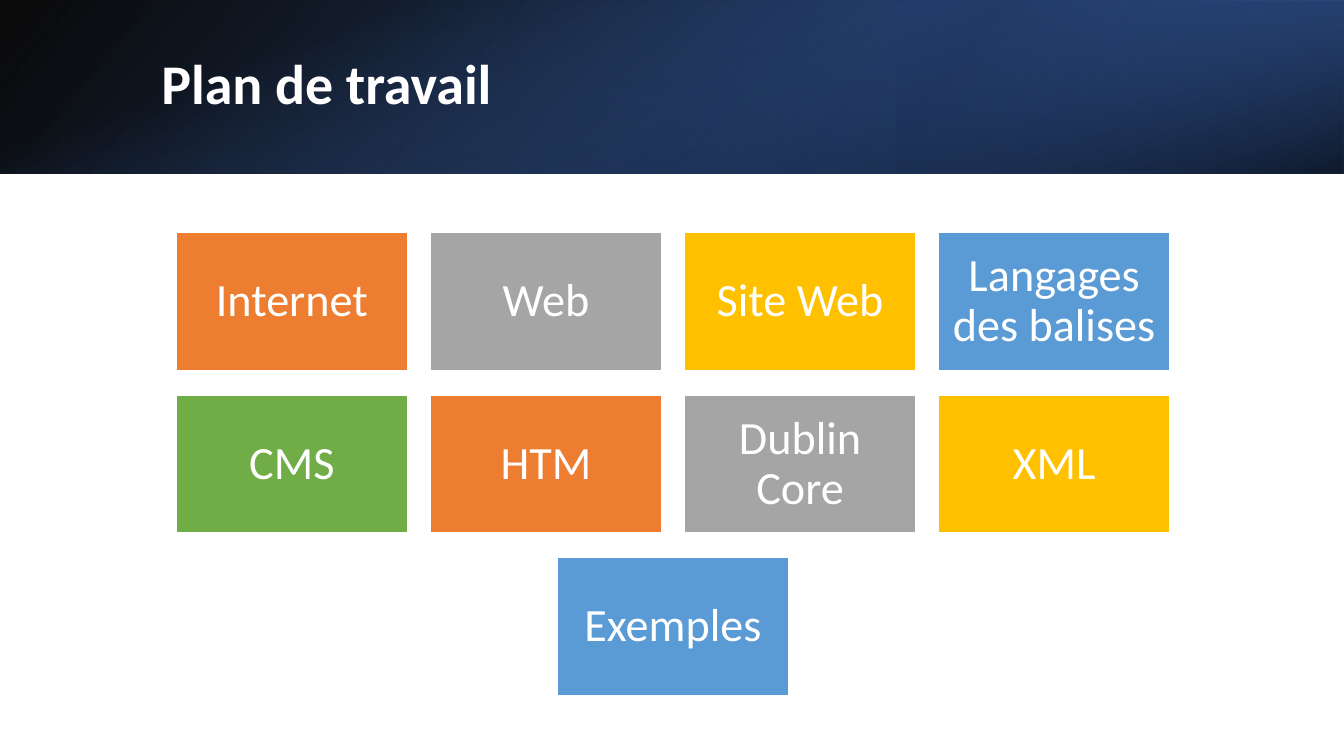
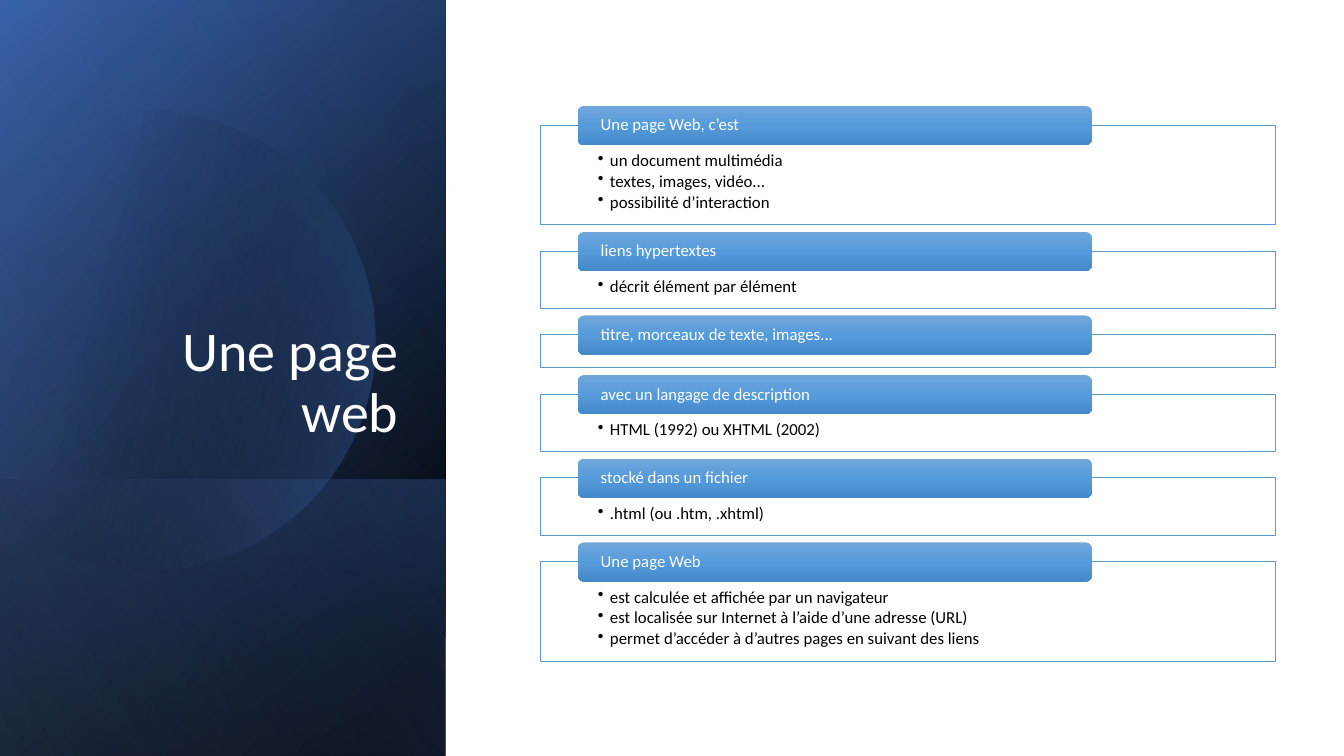
from math import acos, cos, sin

from lxml.etree import SubElement
from pptx import Presentation
from pptx.dml.color import RGBColor
from pptx.enum.shapes import MSO_SHAPE
from pptx.enum.text import MSO_ANCHOR, MSO_AUTO_SIZE, PP_ALIGN
from pptx.oxml.ns import qn
from pptx.util import Pt

PX = 9144
FONT = "Calibri"
COLORS = {
    "white": "FFFFFF",
    "black": "000000",
    "navy": "203864",
    "royal": "2F5597",
    "blue": "4472C4",
    "pale": "8FAADC",
    "sky": "5B9BD5",
    "orange": "ED7D31",
    "gray": "A5A5A5",
    "gold": "FFC000",
    "green": "70AD47",
    "header_top": "71A6DB",
    "header_middle": "559BDB",
    "header_bottom": "448ACA",
}


def paint_gradient(shape, stops, angle):
    shape.shadow.inherit = False
    shape.line.fill.background()
    shape.fill.background()
    properties = shape.element.spPr
    gradient = SubElement(properties, qn("a:gradFill"), rotWithShape="1")
    properties.replace(properties.find(qn("a:noFill")), gradient)
    stop_list = SubElement(gradient, qn("a:gsLst"))
    for position, color, opacity in stops:
        stop = SubElement(stop_list, qn("a:gs"), pos=str(position * 1000))
        tint = SubElement(stop, qn("a:srgbClr"), val=COLORS[color])
        if opacity < 100:
            SubElement(tint, qn("a:alpha"), val=str(opacity * 1000))
    SubElement(gradient, qn("a:lin"), ang=str(angle * 60000), scaled="0")


def write(shape, text, size, color, align, anchor, margins, bold=False):
    frame = shape.text_frame
    frame.text = text
    frame.word_wrap = True
    frame.auto_size = MSO_AUTO_SIZE.NONE
    frame.vertical_anchor = anchor
    frame.margin_left = frame.margin_right = margins[0] * PX
    frame.margin_top, frame.margin_bottom = margins[1] * PX, margins[2] * PX
    for paragraph in frame.paragraphs:
        paragraph.alignment = align
        paragraph.line_spacing = 0.9
        for run in paragraph.runs:
            run.font.name = FONT
            run.font.size = Pt(size)
            run.font.bold = bold
            run.font.color.rgb = RGBColor.from_string(COLORS[color])


presentation = Presentation()
presentation.slide_width = 1333 * PX
presentation.slide_height = 750 * PX

banner_layers = [
    ((0, 0, 1333, 172), 0, True, [(0, "black", 96), (100, "royal", 100)], 140),
    ((889, 0, 444, 172), 180, True, [(19, "navy", 68), (100, "blue", 79)], 320),
    ((580, -580, 172, 1333), 90, False, [(23, "blue", 0), (99, "black", 74)], 340),
]
panel = (-154, 154, 750, 442)
panel_layers = [
    (panel, 90, True, [(8, "black", 100), (100, "royal", 100)], 50),
    (panel, 90, True, [(0, "black", 0), (99, "blue", 46)], 30),
    ((84, 392, 274, 442), 90, True, [(2, "blue", 29), (100, "black", 30)], 130),
    (panel, 90, True, [(0, "black", 0), (99, "pale", 11)], 120),
]
pages = [
    ("Plan de travail", (150, 38, 1098, 96), PP_ALIGN.LEFT, MSO_ANCHOR.MIDDLE, True, banner_layers),
    ("Une page web", (64, 184, 341, 262), PP_ALIGN.RIGHT, MSO_ANCHOR.BOTTOM, False, panel_layers),
]
slides = []
for heading, place, align, anchor, bold, layers in pages:
    slide = presentation.slides.add_slide(presentation.slide_layouts[5])
    slides.append(slide)
    for box, rotation, flipped, stops, angle in layers:
        layer = slide.shapes.add_shape(MSO_SHAPE.RECTANGLE, *(n * PX for n in box))
        layer.rotation = rotation
        if flipped:
            layer.element.spPr.xfrm.set("flipH", "1")
        paint_gradient(layer, stops, angle)
    title = slide.shapes.title
    title.left, title.top, title.width, title.height = (n * PX for n in place)
    write(title, heading, 40, "white", align, anchor, (10, 5, 5), bold)
    title.element.getparent().append(title.element)
plan, web_page = slides

topics = [
    ("Internet", "orange"),
    ("Web", "gray"),
    ("Site Web", "gold"),
    ("Langages des balises", "sky"),
    ("CMS", "green"),
    ("HTM", "orange"),
    ("Dublin Core", "gray"),
    ("XML", "gold"),
    ("Exemples", "sky"),
]
columns, pitch_x, pitch_y = 4, 252, 161
for index, (topic, color) in enumerate(topics):
    row, column = divmod(index, columns)
    row_length = min(columns, len(topics) - row * columns)
    left = 175 + column * pitch_x + (columns - row_length) * pitch_x // 2
    tile = plan.shapes.add_shape(
        MSO_SHAPE.RECTANGLE, left * PX, (231 + row * pitch_y) * PX, 229 * PX, 137 * PX
    )
    tile.shadow.inherit = False
    tile.fill.solid()
    tile.fill.fore_color.rgb = RGBColor.from_string(COLORS[color])
    tile.line.color.rgb = RGBColor.from_string(COLORS["white"])
    tile.line.width = Pt(1)
    write(tile, topic, 33, "white", PP_ALIGN.CENTER, MSO_ANCHOR.MIDDLE, (14, 14, 14))

center_x, center_y, radius, steps = 144, 338, 228, 90
reach = acos(-center_x / radius)
angles = [reach * (2 * step / steps - 1) for step in range(steps + 1)]
arc = [
    (round((center_x + radius * cos(a)) * PX), round((center_y + radius * sin(a)) * PX))
    for a in angles
]
outline = web_page.shapes.build_freeform(*arc[0])
outline.add_line_segments(arc[1:], close=True)
disc = outline.convert_to_shape()
paint_gradient(disc, [(29, "black", 0), (100, "blue", 43)], 14)
web_page.shapes[len(panel_layers) - 1].element.addprevious(disc.element)

sections = [
    ("Une page Web, c’est", ["un document multimédia", "textes, images, vidéo...", "possibilité d’interaction"]),
    ("liens hypertextes", ["décrit élément par élément"]),
    ("titre, morceaux de texte, images...", []),
    ("avec un langage de description", ["HTML (1992) ou XHTML (2002)"]),
    ("stocké dans un fichier", [".html (ou .htm, .xhtml)"]),
    (
        "Une page Web",
        [
            "est calculée et affichée par un navigateur",
            "est localisée sur Internet à l’aide d’une adresse (URL)",
            "permet d’accéder à d’autres pages en suivant des liens",
        ],
    ),
]
header_stops = [(0, "header_top", 100), (50, "header_middle", 100), (100, "header_bottom", 100)]
header_top = 105
for label, details in sections:
    detail_top = header_top + 19
    detail_height = 36 + 21 * len(details) if details else 33
    frame_box = web_page.shapes.add_shape(
        MSO_SHAPE.RECTANGLE, 536 * PX, detail_top * PX, 729 * PX, detail_height * PX
    )
    frame_box.shadow.inherit = False
    frame_box.fill.solid()
    frame_box.fill.fore_color.rgb = RGBColor.from_string(COLORS["white"])
    frame_box.line.color.rgb = RGBColor.from_string(COLORS["sky"])
    frame_box.line.width = Pt(0.5)
    if details:
        write(frame_box, "\n".join(details), 12, "black", PP_ALIGN.LEFT, MSO_ANCHOR.TOP, (57, 27, 9))
        for paragraph in frame_box.text_frame.paragraphs:
            paragraph.space_after = Pt(1.8)
            settings = paragraph.runs[0].font and paragraph._p.get_or_add_pPr()
            settings.set("marL", str(12 * PX))
            settings.set("indent", str(-12 * PX))
            SubElement(settings, qn("a:buChar"), char="•")
    header = web_page.shapes.add_shape(
        MSO_SHAPE.ROUNDED_RECTANGLE, 573 * PX, header_top * PX, 510 * PX, 39 * PX
    )
    paint_gradient(header, header_stops, 90)
    write(header, label, 12, "white", PP_ALIGN.LEFT, MSO_ANCHOR.MIDDLE, (21, 2, 2))
    header_top = detail_top + detail_height + 7

presentation.save("out.pptx")
